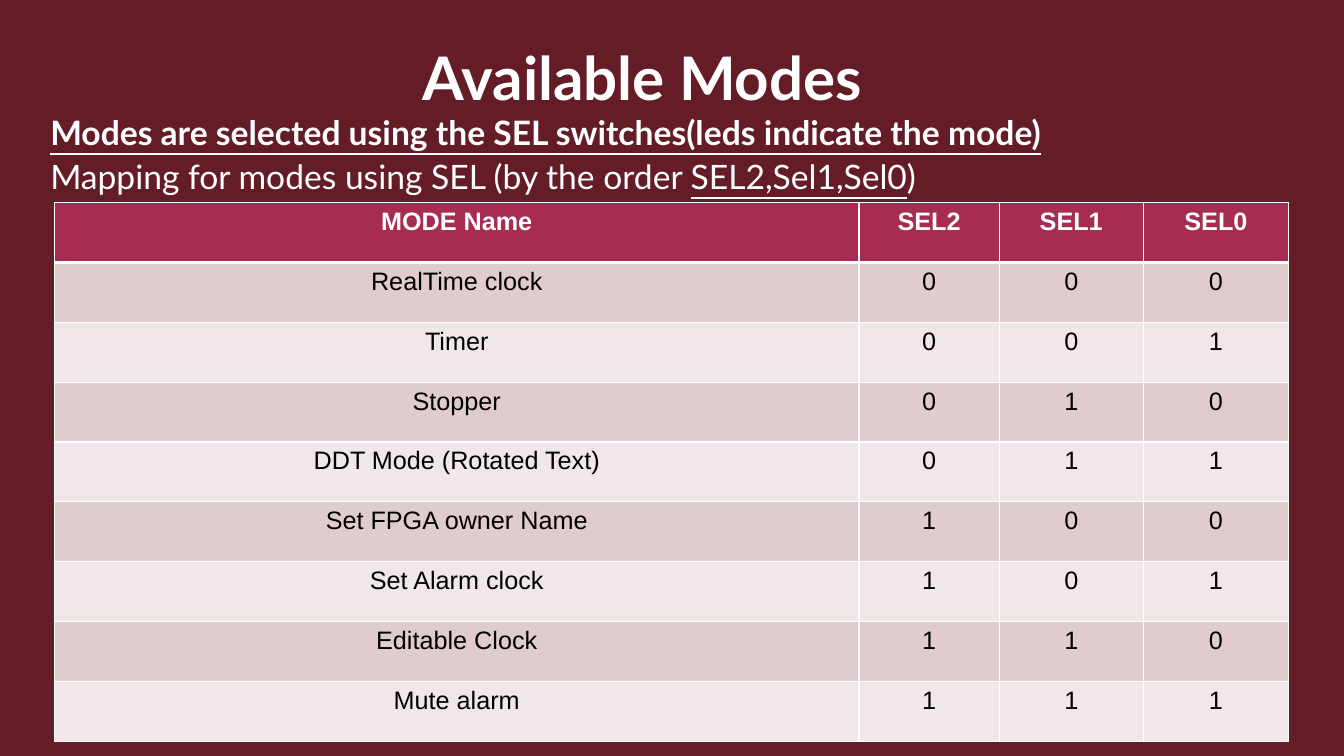
from lxml import etree
from pptx import Presentation
from pptx import util as u
from pptx.dml.color import RGBColor
from pptx.enum import text
from pptx.oxml.ns import qn

TITLE = "Available Modes"
INTRO = [
    [("Modes are selected using the SEL switches(leds indicate the mode)", True, True)],
    [
        ("Mapping for modes using SEL (by the order ", False, False),
        ("SEL2,Sel1,Sel0", False, True),
        (")", False, False),
    ],
]
HEADINGS = ["MODE Name", "SEL2", "SEL1", "SEL0"]
MODES = [
    "RealTime clock",
    "Timer",
    "Stopper",
    "DDT Mode (Rotated Text)",
    "Set FPGA owner Name",
    "Set Alarm clock",
    "Editable Clock",
    "Mute alarm",
]
COLUMN_WIDTHS = [7.98, 1.39, 1.43, 1.44]
ROW_HEIGHT = 0.594

MAROON = RGBColor(0x64, 0x1C, 0x26)
CRIMSON = RGBColor(0xA6, 0x2C, 0x52)
ROSE = RGBColor(0xE0, 0xCB, 0xCF)
PALE_ROSE = RGBColor(0xF0, 0xE7, 0xE9)
WHITE = RGBColor(0xFF, 0xFF, 0xFF)
BLACK = RGBColor(0, 0, 0)


def set_font(font, name, size, color, bold=None):
    font.name, font.size, font.bold = name, u.Pt(size), bold
    font.color.rgb = color


def add_borders(cell, widths):
    properties = cell._tc.get_or_add_tcPr()
    for position, (side, width) in enumerate(widths.items()):
        line = etree.Element(qn(f"a:ln{side}"), w=str(u.Pt(width)))
        fill = etree.SubElement(line, qn("a:solidFill"))
        etree.SubElement(fill, qn("a:srgbClr"), val=str(WHITE))
        properties.insert(position, line)


def add_title(slide):
    title = slide.shapes.title
    title.left, title.top = u.Inches(4.09), u.Inches(-0.13)
    title.width, title.height = u.Inches(5.14), u.Inches(1.3)
    frame = title.text_frame
    frame.text = TITLE
    frame.auto_size = text.MSO_AUTO_SIZE.NONE
    frame.vertical_anchor = text.MSO_ANCHOR.BOTTOM
    heading = frame.paragraphs[0]
    heading.alignment = text.PP_ALIGN.LEFT
    set_font(heading.font, "Lato", 42.9, WHITE, True)


def add_intro(slide):
    box = slide.shapes.add_textbox(
        u.Inches(0.4), u.Inches(1.02), u.Inches(12.82), u.Inches(1.4))
    box.text_frame.word_wrap = True
    paragraph = box.text_frame.paragraphs[0]
    paragraph.line_spacing = 1.1
    for number, line in enumerate(INTRO):
        if number:
            paragraph.add_line_break()
        for words, bold, underline in line:
            run = paragraph.add_run()
            run.text = words
            set_font(run.font, "Lato", 24, WHITE, bold)
            run.font.underline = underline


def add_modes(slide):
    rows = [HEADINGS] + [
        [mode, *f"{code:03b}"] for code, mode in enumerate(MODES)]
    modes = slide.shapes.add_table(
        len(rows), len(HEADINGS), u.Inches(0.54), u.Inches(2.01),
        u.Inches(sum(COLUMN_WIDTHS)), u.Inches(ROW_HEIGHT * len(rows))).table
    for column, width in zip(modes.columns, COLUMN_WIDTHS):
        column.width = u.Inches(width)
    for r, values in enumerate(rows):
        header = r == 0
        for c, value in enumerate(values):
            cell = modes.cell(r, c)
            cell.text = value
            cell.fill.solid()
            cell.fill.fore_color.rgb = CRIMSON if header else ROSE if r % 2 else PALE_ROSE
            label = cell.text_frame.paragraphs[0]
            label.alignment = text.PP_ALIGN.CENTER
            set_font(label.font, "Arial", 18, WHITE if header else BLACK, header)
            add_borders(cell, {"L": 1, "R": 1, "T": 3 if r == 1 else 1, "B": 3 if header else 1})


def main():
    deck = Presentation()
    deck.slide_width, deck.slide_height = u.Inches(13.33), u.Inches(7.5)
    slide = deck.slides.add_slide(deck.slide_layouts[5])
    slide.background.fill.solid()
    slide.background.fill.fore_color.rgb = MAROON
    add_title(slide)
    add_intro(slide)
    add_modes(slide)
    deck.save("out.pptx")


if __name__ == "__main__":
    main()
